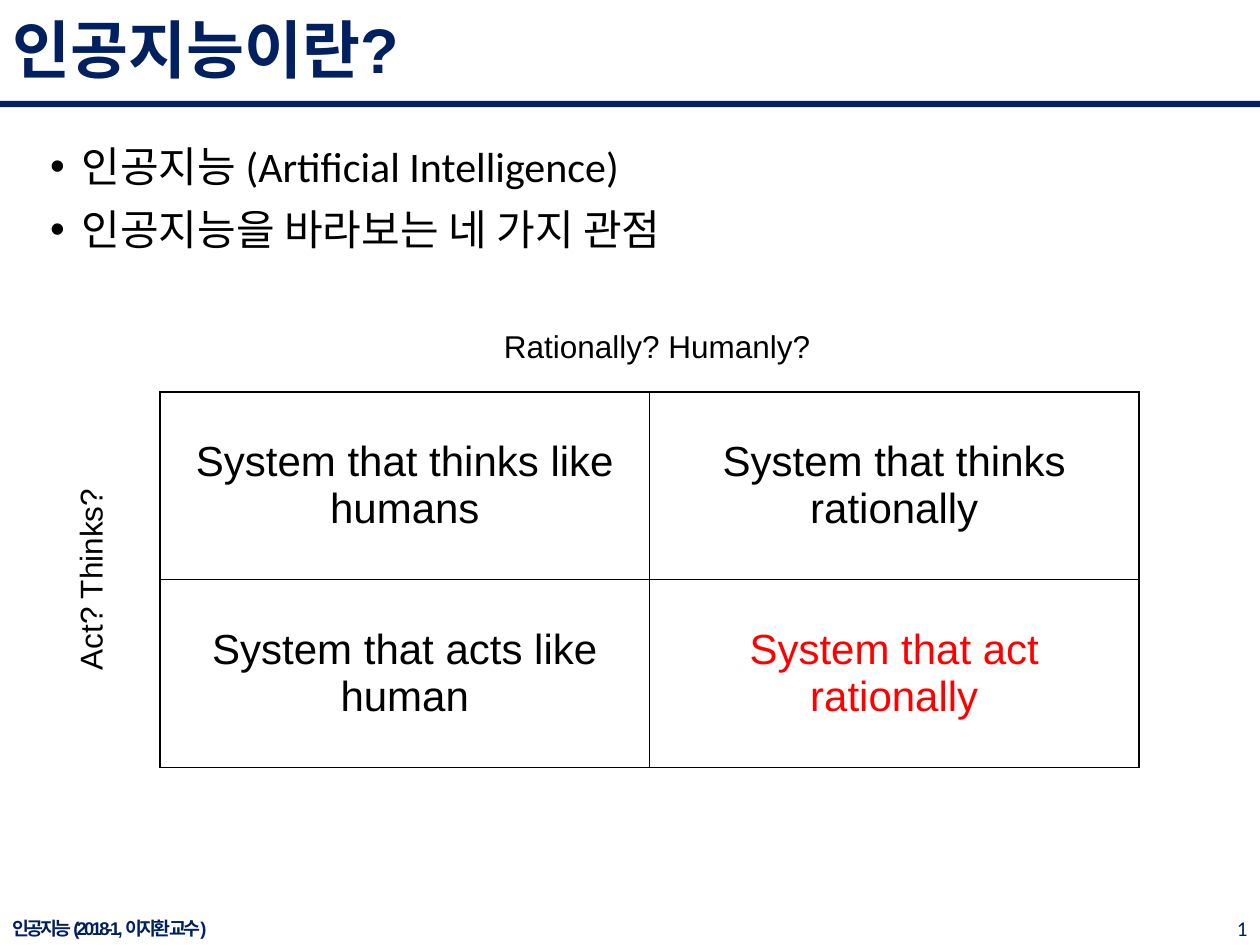
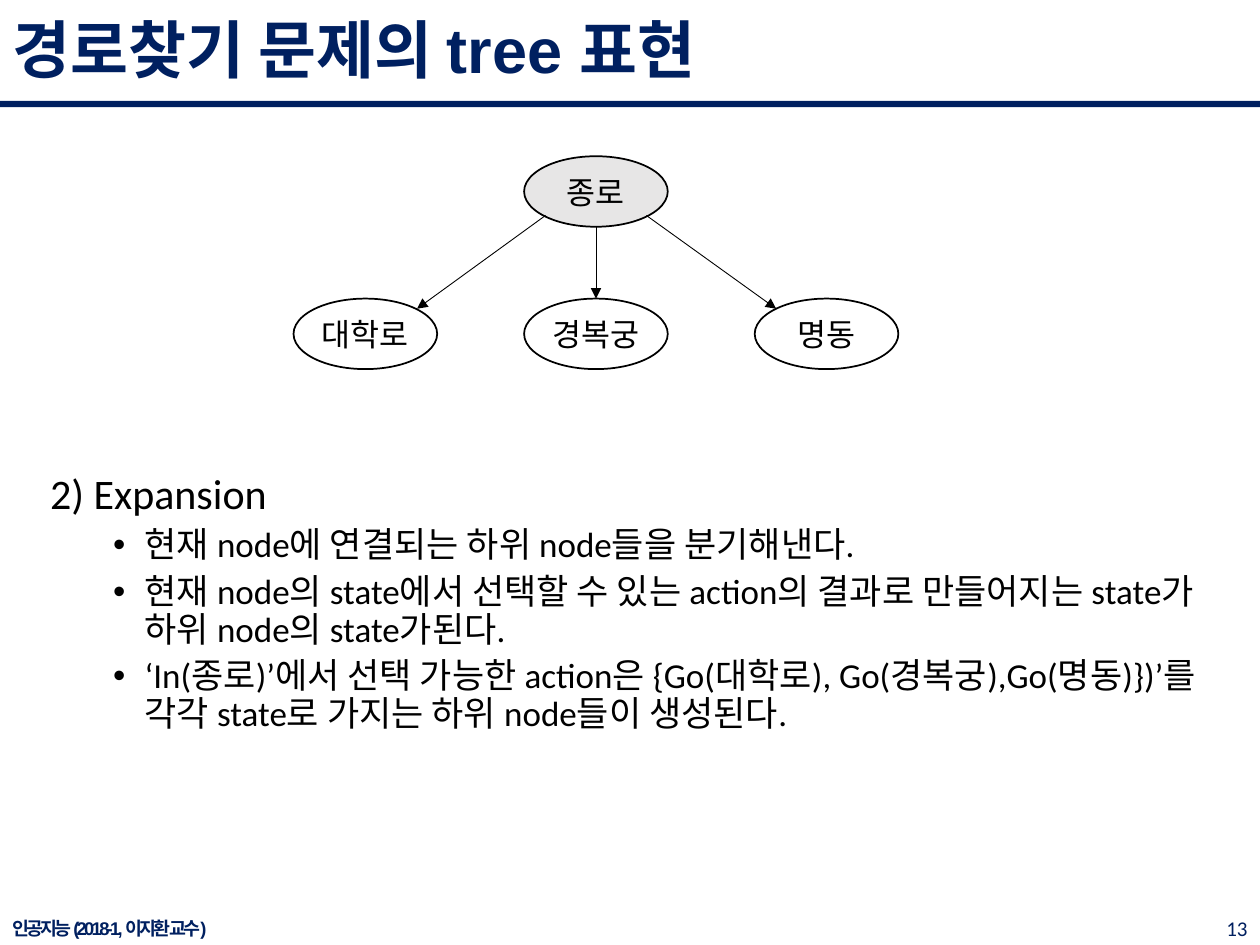
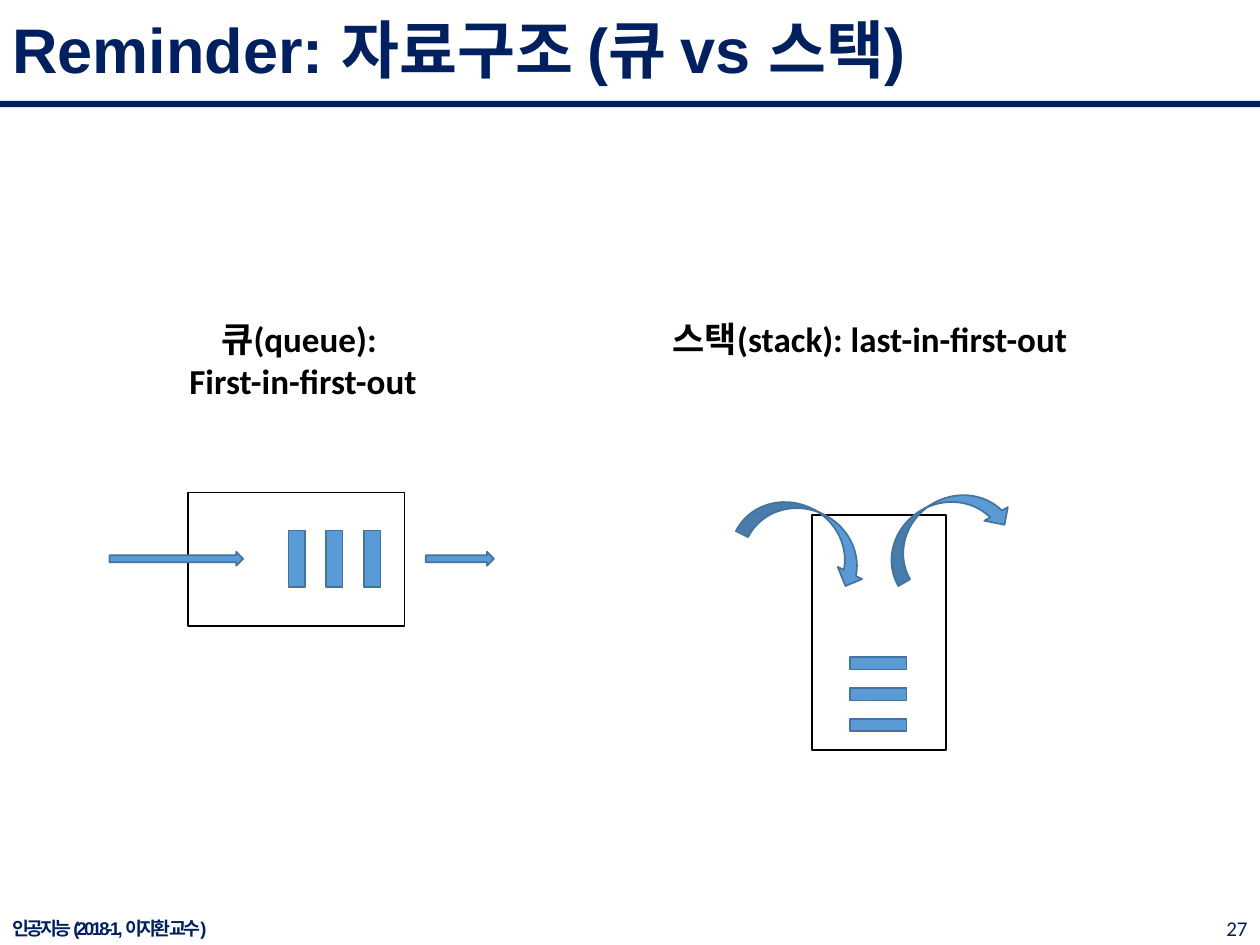
from lxml import etree
from pptx import Presentation
from pptx.dml.color import RGBColor
from pptx.enum.shapes import MSO_CONNECTOR, MSO_SHAPE
from pptx.enum.text import MSO_ANCHOR, PP_ALIGN
from pptx.oxml.ns import qn
from pptx.util import Inches, Pt

RECT, OVAL = MSO_SHAPE.RECTANGLE, MSO_SHAPE.OVAL
ARROW, CURVE = MSO_SHAPE.RIGHT_ARROW, MSO_SHAPE.CURVED_DOWN_ARROW
LINE = MSO_CONNECTOR.STRAIGHT
MID = MSO_ANCHOR.MIDDLE
LEFT, MIDDLE, RIGHT, FULL = PP_ALIGN.LEFT, PP_ALIGN.CENTER, PP_ALIGN.RIGHT, PP_ALIGN.JUSTIFY

NAVY, BLACK, RED, GREY = "002060", "000000", "FF0000", "E7E6E6"
BLUE, EDGE = "5B9BD5", "43739E"
hue = RGBColor.from_string

TITLE = {"font": {"name": "Arial", "size": Pt(36), "bold": True}, "para": {"line_spacing": 0.9}, "tint": NAVY}
FOOT = {"font": {"name": "Arial", "size": Pt(10.5), "bold": True}, "para": {"alignment": FULL}, "tint": NAVY}
PAGE = {"font": {"name": "Calibri", "size": Pt(12)}, "para": {"alignment": RIGHT}, "tint": NAVY}
HEAD = {"font": {"name": "Calibri", "size": Pt(24)}, "para": {"line_spacing": 0.9, "space_before": Pt(10)}}
ITEM = {**HEAD, "left": 0.25}
SUB = {"font": {"name": "Calibri", "size": Pt(20)}, "para": {"line_spacing": 0.9, "space_before": Pt(5)}, "left": 0.75}
AXIS = {"font": {"name": "Arial", "size": Pt(18)}, "para": {"alignment": MIDDLE}}
CELL = {"font": {"name": "Arial", "size": Pt(24)}, "para": {"alignment": MIDDLE}}
NODE = {"font": {"name": "Calibri", "size": Pt(18)}, "para": {"alignment": MIDDLE}}
NAME = {"font": {"name": "Calibri", "size": Pt(20), "bold": True}, "para": {"alignment": MIDDLE}}


def write(frame, lines, look, tint=None, anchor=None):
    frame.word_wrap = True
    if anchor is not None:
        frame.vertical_anchor = anchor
    for line in lines:
        para = frame.add_paragraph() if frame.text else frame.paragraphs[0]
        for key, val in {"alignment": LEFT, **look["para"]}.items():
            setattr(para, key, val)
        run = para.add_run()
        run.text = line
        for key, val in look["font"].items():
            setattr(run.font, key, val)
        run.font.color.rgb = hue(tint or look.get("tint", BLACK))
        if "left" in look:
            props = para._p.get_or_add_pPr()
            props.set("marL", str(Inches(look["left"])))
            props.set("indent", str(Inches(-0.25)))
            etree.SubElement(props, qn("a:buFont")).set("typeface", "Arial")
            etree.SubElement(props, qn("a:buChar")).set("char", "•")


def draw(shapes, kind, at, fill=None, edge=None, turn=0):
    shape = shapes.add_shape(kind, *map(Inches, at))
    shape.shadow.inherit = False
    shape.rotation = turn
    if fill:
        shape.fill.solid()
        shape.fill.fore_color.rgb = hue(fill)
    else:
        shape.fill.background()
    if edge:
        shape.line.color.rgb = hue(edge)
        shape.line.width = Pt(1)
    else:
        shape.line.fill.background()
    return shape


deck = Presentation()
deck.slide_width, deck.slide_height = Inches(10), Inches(7.5)

pages = []
for title, num in [
    ("인공지능이란?", "1"),
    ("경로찾기 문제의 tree 표현", "13"),
    ("Reminder: 자료구조 (큐 vs 스택)", "27"),
]:
    shapes = deck.slides.add_slide(deck.slide_layouts[6]).shapes
    draw(shapes, RECT, (0, 0.8, 10, 0.05), NAVY)
    for at, text, look in [
        ((0, 0, 10, 0.85), title, TITLE),
        ((0, 7.24, 3.38, 0.26), "인공지능 (2018-1, 이지환 교수)", FOOT),
        ((7.75, 7.24, 2.25, 0.26), num, PAGE),
    ]:
        box = shapes.add_textbox(*map(Inches, at))
        write(box.text_frame, [text], look, anchor=MID)
        if look is FOOT:
            box.text_frame.paragraphs[0].runs[0].font._element.set("spc", "-150")
    pages.append(shapes)
views, tree, data = pages

body = views.add_textbox(*map(Inches, (0.3, 1.11, 9.33, 1.2)))
write(body.text_frame, ["인공지능 (Artificial Intelligence)", "인공지능을 바라보는 네 가지 관점"], ITEM)

grid = views.add_table(2, 2, *map(Inches, (1.27, 3.11, 7.77, 2.98))).table
grid.first_row = grid.horz_banding = False
words = [
    "System that thinks like humans", "System that thinks rationally",
    "System that acts like human", "System that act rationally",
]
for cell, text in zip(grid.iter_cells(), words):
    for side, gap in {"left": 0.14, "right": 0.14, "top": 0.07, "bottom": 0.07}.items():
        setattr(cell, "margin_" + side, Inches(gap))
    cell.vertical_anchor = MID
    write(cell.text_frame, [text], CELL, RED if text == words[-1] else BLACK)
    props = cell._tc.get_or_add_tcPr()
    for tag in ("a:lnL", "a:lnR", "a:lnT", "a:lnB"):
        rule = etree.SubElement(props, qn(tag), w=str(Pt(1)))
        ink = etree.SubElement(rule, qn("a:solidFill"))
        etree.SubElement(ink, qn("a:srgbClr"), val=BLACK)
    cell.fill.background()

for left, top, text, turn in [(3.23, 2.55, "Rationally? Humanly?", 0), (-1.27, 4.4, "Act? Thinks?", 270)]:
    box = views.add_textbox(*map(Inches, (left, top, 3.97, 0.4)))
    box.rotation = turn
    write(box.text_frame, [text], AXIS)

body = tree.add_textbox(*map(Inches, (0.3, 3.71, 9.33, 2.63))).text_frame
write(body, ["2) Expansion"], HEAD)
write(body, [
    "현재 node에 연결되는 하위 node들을 분기해낸다.",
    "현재 node의 state에서 선택할 수 있는 action의 결과로 만들어지는 state가 하위 node의 state가된다.",
    "‘In(종로)’에서 선택 가능한 action은 {Go(대학로), Go(경복궁),Go(명동)})’를 각각 state로 가지는 하위 node들이 생성된다.",
], SUB)

spots = [(4.16, 1.24, "종로", GREY)]
spots += [(2.33 + 1.83 * i, 2.37, text, None) for i, text in enumerate(["대학로", "경복궁", "명동"])]
for left, top, text, fill in spots:
    node = draw(tree, OVAL, (left, top, 1.14, 0.56), fill, BLACK)
    node.text_frame.margin_left = node.text_frame.margin_right = 0
    write(node.text_frame, [text], NODE, anchor=MID)

for ends in [(4.33, 1.71, 3.31, 2.45), (4.73, 1.8, 4.73, 2.37), (5.13, 1.71, 6.16, 2.45)]:
    link = tree.add_connector(LINE, *map(Inches, ends))
    link.line.color.rgb = hue(BLACK)
    link.line.width = Pt(0.5)
    etree.SubElement(link.line._get_or_add_ln(), qn("a:tailEnd"), type="triangle")
    etree.SubElement(link._element.spPr, qn("a:effectLst"))

queue = data.add_group_shape().shapes
draw(queue, RECT, (1.49, 3.91, 1.72, 1.06), edge=BLACK)
for i in range(3):
    draw(queue, RECT, (2.29 + 0.3 * i, 4.21, 0.13, 0.45), BLUE, EDGE)
for left, wide in [(0.87, 1.06), (3.38, 0.54)]:
    draw(queue, ARROW, (left, 4.38, wide, 0.11), BLUE, EDGE)

stack = data.add_group_shape().shapes
draw(stack, RECT, (6.04, 4.49, 1.87, 1.06), edge=BLACK, turn=90)
for i in range(3):
    draw(stack, RECT, (6.92, 5.04 + 0.245 * i, 0.1, 0.45), BLUE, EDGE, 90)

for left, high, lines in [
    (0.64, 0.77, ["큐(queue): ", "First-in-first-out"]),
    (5.14, 0.44, ["스택(stack): last-in-first-out"]),
]:
    box = data.add_textbox(*map(Inches, (left, 2.47, 3.53, high)))
    write(box.text_frame, lines, NAME)

for left, top, turn in [(5.88, 4.05, 26.6), (6.95, 3.98, 330)]:
    draw(data, CURVE, (left, top, 1.08, 0.43), BLUE, EDGE, turn)

deck.save("out.pptx")
